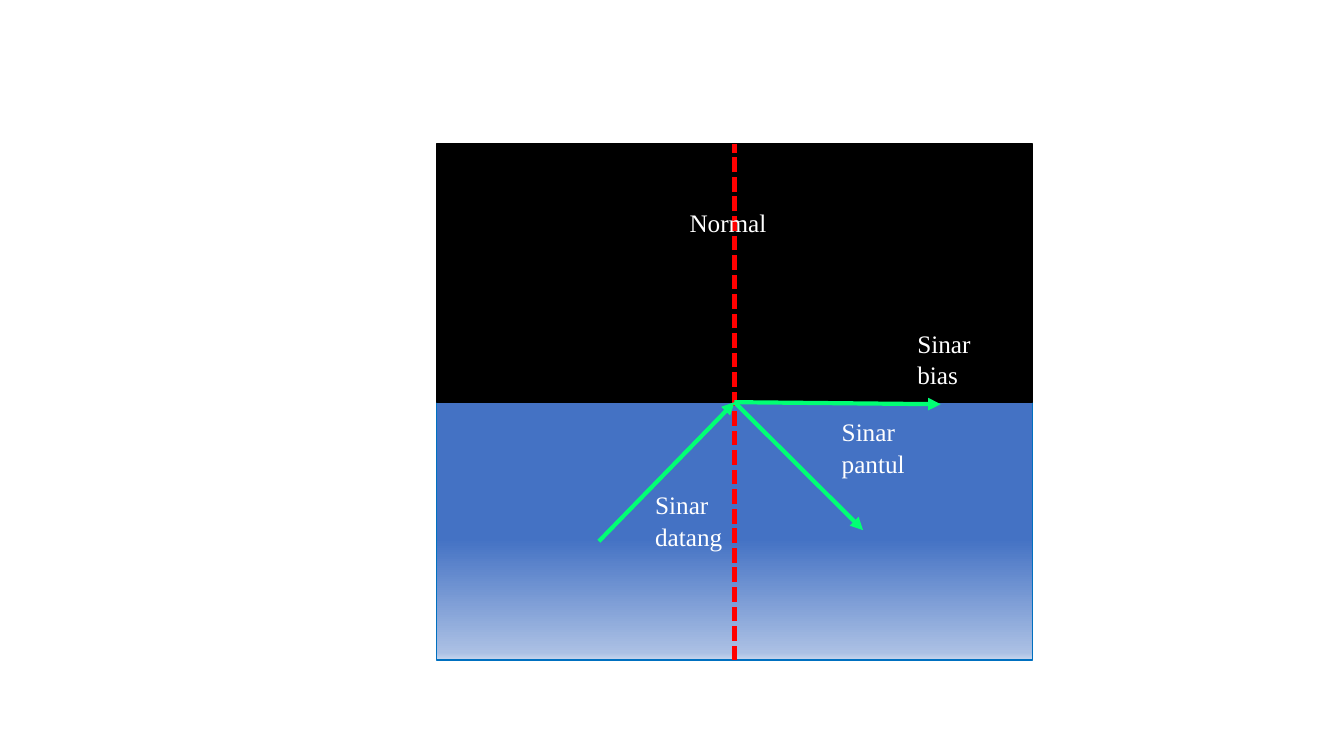
from copy import deepcopy
from dataclasses import dataclass

from lxml import etree
from pptx import Presentation
from pptx import util as u
from pptx.dml.color import RGBColor
from pptx.enum import dml, shapes, text
from pptx.oxml import ns

SLIDE_WIDTH, SLIDE_HEIGHT = u.Inches(13.33), u.Inches(7.5)

# Places and sizes are percentages of the slide's width and height
LEFT, TOP = 32.48, 19.07
MEDIUM_WIDTH, MEDIUM_HEIGHT = 44.34, 34.13
NORMAL_X = LEFT + MEDIUM_WIDTH / 2
SURFACE_Y = TOP + MEDIUM_HEIGHT
BOTTOM = SURFACE_Y + MEDIUM_HEIGHT
SURFACE_POINT = (NORMAL_X, SURFACE_Y)
LABEL_WIDTH, ONE_LINE, TWO_LINES = 8.55, 5.33, 9.47

WHITE, BLACK, RED, GREEN, WATER_EDGE = "FFFFFF", "000000", "FF0000", "01FF74", "0070C0"
WATER_STOPS = [(53, "4472C4"), (97, "ABC0E4"), (100, "C7D5ED")]


@dataclass
class Ray:
    start: tuple[float, float]
    end: tuple[float, float]


@dataclass
class Label:
    words: str
    left: float
    top: float
    height: float = TWO_LINES
    align: text.PP_ALIGN = text.PP_ALIGN.LEFT


RAYS = [
    Ray(SURFACE_POINT, (70, 53.47)),
    Ray(SURFACE_POINT, (64.22, 70.13)),
    Ray((44.56, 71.6), SURFACE_POINT),
]
LABELS = [
    Label("Sinar pantul", 61.89, 54.27),
    Label("Sinar datang", 48.01, 63.87),
    Label("Sinar bias", 67.52, 42.53),
    Label("Normal", 49.89, 26.53, ONE_LINE, text.PP_ALIGN.CENTER),
]


def across(share: float) -> int:
    return round(SLIDE_WIDTH * share / 100)


def down(share: float) -> int:
    return round(SLIDE_HEIGHT * share / 100)


def colour(code: str) -> RGBColor:
    return RGBColor.from_string(code)


def add_medium(diagram, top: float, edge: str):
    medium = diagram.shapes.add_shape(
        shapes.MSO_SHAPE.RECTANGLE,
        across(LEFT), down(top), across(MEDIUM_WIDTH), down(MEDIUM_HEIGHT))
    medium.shadow.inherit = False
    medium.line.color.rgb = colour(edge)
    medium.line.width = u.Pt(1)
    return medium


def fill_gradient(shape, stops: list[tuple[int, str]]) -> None:
    shape.fill.gradient()
    shape.fill.gradient_angle = 270
    stop_list = shape.fill._fill._gradFill.find(ns.qn("a:gsLst"))
    stop_list.append(deepcopy(stop_list[-1]))
    for stop, (position, code) in zip(shape.fill.gradient_stops, stops):
        stop.position = position / 100
        stop.color.rgb = colour(code)


def add_line(diagram, start: tuple[float, float], end: tuple[float, float],
             code: str, width: float):
    line = diagram.shapes.add_connector(
        shapes.MSO_CONNECTOR.STRAIGHT,
        across(start[0]), down(start[1]), across(end[0]), down(end[1]))
    line.line.color.rgb = colour(code)
    line.line.width = u.Pt(width)
    etree.SubElement(line._element.spPr, ns.qn("a:effectLst"))
    return line


def add_ray(diagram, ray: Ray) -> None:
    line = add_line(diagram, ray.start, ray.end, GREEN, 3)
    etree.SubElement(line.line._get_or_add_ln(), ns.qn("a:tailEnd"), type="triangle")


def write(box, words: str, *, size: float, font: str, code: str,
          align: text.PP_ALIGN, spacing: float) -> None:
    frame = box.text_frame
    frame.word_wrap = True
    frame.auto_size = text.MSO_AUTO_SIZE.SHAPE_TO_FIT_TEXT
    para = frame.paragraphs[0]
    para.alignment = align
    para.line_spacing = spacing
    span = para.add_run()
    span.text = words
    span.font.size = u.Pt(size)
    span.font.name = font
    span.font.color.rgb = colour(code)


def add_label(diagram, label: Label) -> None:
    box = diagram.shapes.add_textbox(
        across(label.left), down(label.top), across(LABEL_WIDTH), down(label.height))
    write(box, label.words, size=18, font="Times New Roman", code=WHITE,
          align=label.align, spacing=1.05)


def main() -> None:
    deck = Presentation()
    deck.slide_width, deck.slide_height = SLIDE_WIDTH, SLIDE_HEIGHT
    page = deck.slides.add_slide(deck.slide_layouts[6])
    diagram = page.shapes.add_group_shape()

    # Water below, air above
    water = add_medium(diagram, SURFACE_Y, WATER_EDGE)
    fill_gradient(water, WATER_STOPS)
    air = add_medium(diagram, TOP, BLACK)
    air.fill.solid()
    air.fill.fore_color.rgb = colour(BLACK)

    # Normal line
    normal = add_line(diagram, (NORMAL_X, BOTTOM), (NORMAL_X, TOP), RED, 3.5)
    normal.line.dash_style = dml.MSO_LINE.SQUARE_DOT

    # Rays and their labels
    for ray in RAYS:
        add_ray(diagram, ray)
    for label in LABELS:
        add_label(diagram, label)

    deck.save("out.pptx")


if __name__ == "__main__":
    main()
